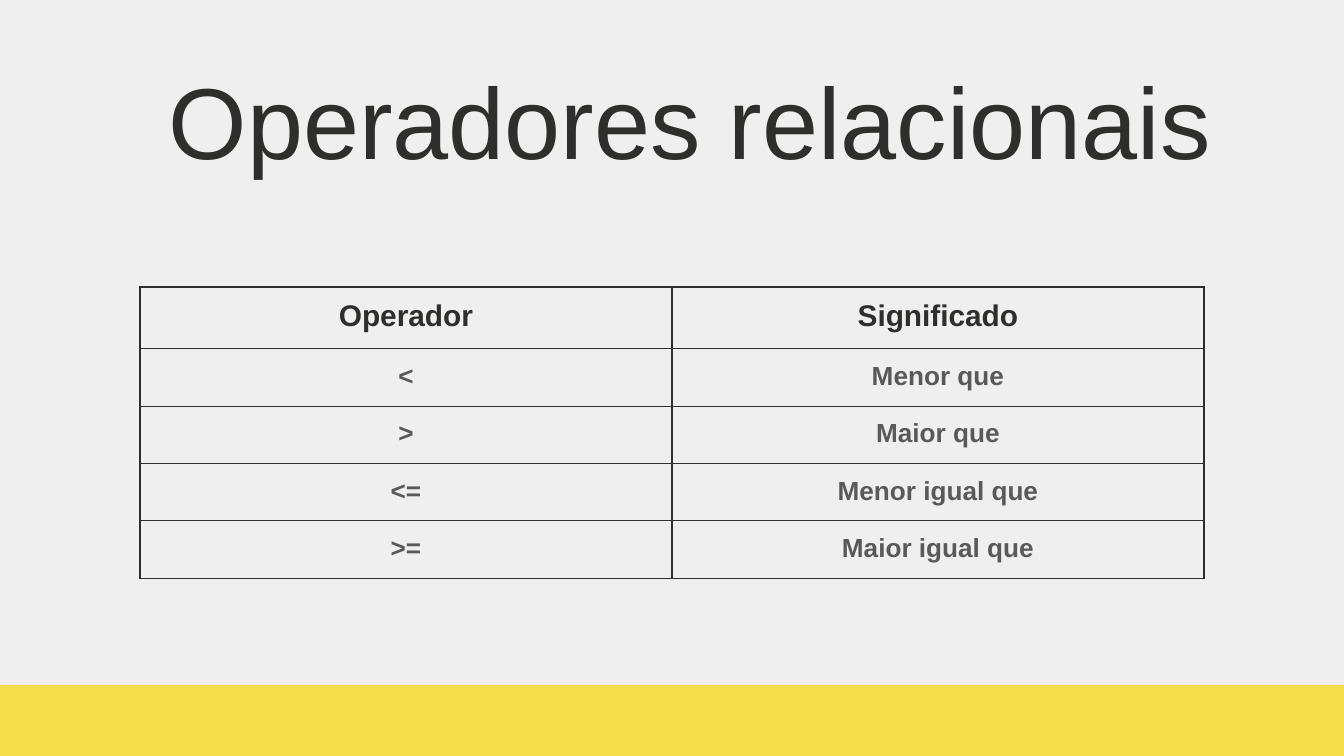
from pptx import Presentation
from pptx.dml.color import RGBColor
from pptx.enum.shapes import MSO_SHAPE as SHAPE
from pptx.enum.text import PP_ALIGN as ALIGN
from pptx.oxml import parse_xml
from pptx.oxml.ns import nsdecls
from pptx.util import Pt

PX = 914400 / 134.4
FONT = "Arial"
COLORS = {"bg": "EFEFEF", "ink": "2E2E2C", "body": "595959", "band": "F3DF49"}
INSET = 13
HEAD_H, ROW_H = 60, 56
ROWS = [
    ("Operador", "Significado"),
    ("<", "Menor que"),
    (">", "Maior que"),
    ("<=", "Menor igual que"),
    (">=", "Maior igual que"),
]


def px(n):
    return round(n * PX)


def rgb(name):
    return RGBColor.from_string(COLORS[name])


def write(tf, text, size, color, bold=False):
    tf.text = text
    p = tf.paragraphs[0]
    p.alignment = ALIGN.CENTER
    font = p.runs[0].font
    font.name, font.size, font.bold = FONT, Pt(size), bold
    font.color.rgb = rgb(color)


def add_borders(cell):
    tcPr = cell._tc.get_or_add_tcPr()
    for i, side in enumerate(("lnL", "lnR", "lnT", "lnB")):
        # Border lines must come before the cell's fill
        tcPr.insert(i, parse_xml(
            f'<a:{side} {nsdecls("a")} w="{Pt(0.75)}"><a:solidFill>'
            f'<a:srgbClr val="{COLORS["ink"]}"/></a:solidFill></a:{side}>'))


def add_title(slide, x, y, w, h):
    tf = slide.shapes.add_textbox(px(x), px(y), px(w), px(h)).text_frame
    tf.word_wrap = True
    tf.margin_left = tf.margin_right = tf.margin_bottom = px(INSET)
    tf.margin_top = px(24)
    write(tf, "Operadores relacionais", 54, "ink")


def add_band(slide, x, y, w, h):
    sp = slide.shapes.add_shape(SHAPE.RECTANGLE, px(x), px(y), px(w), px(h))
    sp.shadow.inherit = False
    sp.fill.solid()
    sp.fill.fore_color.rgb = rgb("band")
    sp.line.fill.background()


def add_operators(slide, x, y, w):
    h = HEAD_H + ROW_H * (len(ROWS) - 1)
    table = slide.shapes.add_table(
        len(ROWS), len(ROWS[0]), px(x), px(y), px(w), px(h)).table
    table.first_row = table.horz_banding = False
    for i, texts in enumerate(ROWS):
        table.rows[i].height = px(ROW_H if i else HEAD_H)
        size, color = (14, "body") if i else (16, "ink")
        for j, text in enumerate(texts):
            cell = table.cell(i, j)
            cell.margin_left = cell.margin_right = px(INSET)
            cell.margin_top = cell.margin_bottom = px(INSET)
            cell.fill.background()
            add_borders(cell)
            write(cell.text_frame, text, size, color, bold=True)


def main():
    prs = Presentation()
    prs.slide_width, prs.slide_height = px(1344), px(756)
    slide = prs.slides.add_slide(prs.slide_layouts[6])
    slide.background.fill.solid()
    slide.background.fill.fore_color.rgb = rgb("bg")

    # Title
    add_title(slide, 145, 35, 1090, 210)
    # Footer band
    add_band(slide, 0, 685, 1344, 71)
    # Operator table
    add_operators(slide, 140, 287, 1064)

    prs.save("out.pptx")


if __name__ == "__main__":
    main()
